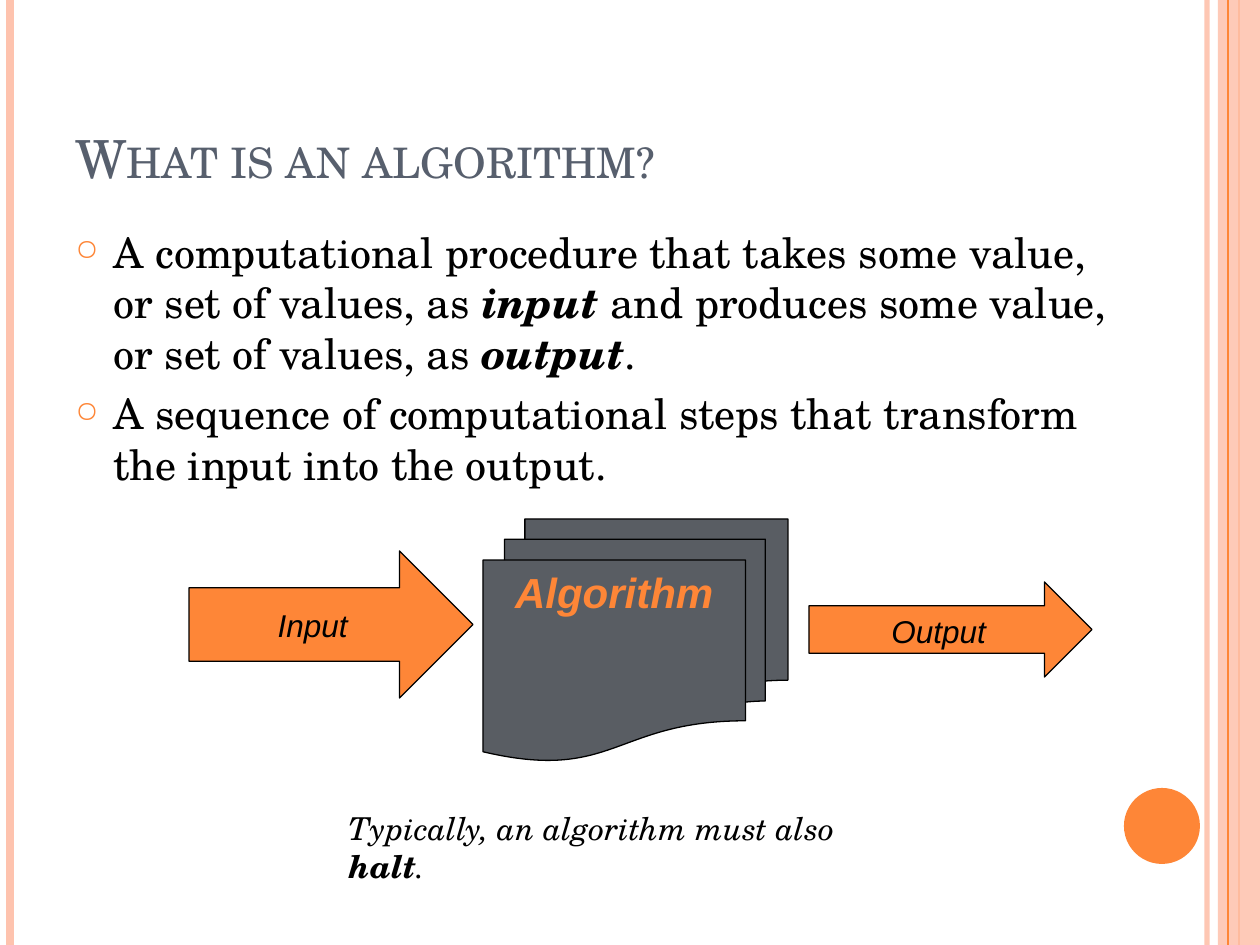
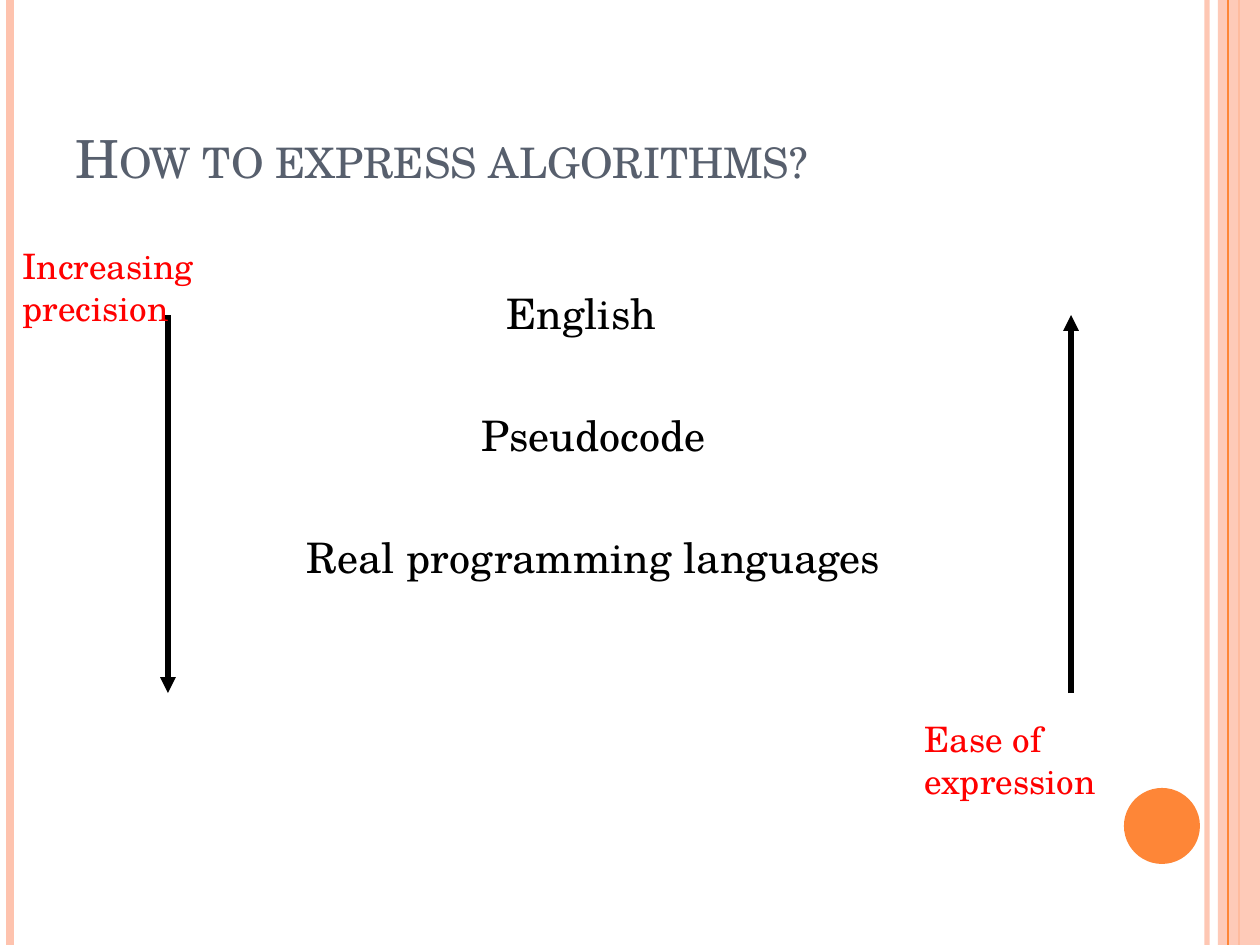
from dataclasses import dataclass

import lxml.etree
import pptx
import pptx.dml.color
import pptx.enum.shapes
import pptx.enum.text
import pptx.oxml.ns
import pptx.util

SHAPE = pptx.enum.shapes.MSO_SHAPE
ANCHOR = pptx.enum.text.MSO_ANCHOR
ALIGN = pptx.enum.text.PP_ALIGN

SLIDE_WIDTH, SLIDE_HEIGHT = 1260, 945
EMU_PER_PIXEL = 914400 / 126
SERIF, SANS = "TeX Gyre Schola", "Arial"
ORANGE, PEACH, SLATE, CHARCOAL = "FE8637", "FEC3AE", "575F6D", "595D63"
BLACK, RED = "000000", "FF0000"
HANGING = 38


@dataclass(frozen=True)
class Box:
    left: int
    top: int
    width: int
    height: int


@dataclass(frozen=True)
class TextStyle:
    size: int
    color: str = BLACK
    font: str = SERIF
    bold: bool = False
    italic: bool = False
    small_caps: bool = False


@dataclass(frozen=True)
class Span:
    text: str
    bold: bool = False
    italic: bool = False


@dataclass(frozen=True)
class Line:
    x: int
    color: str
    points: float
    start: int = 0
    end: int = SLIDE_HEIGHT
    opacity: int = 100
    arrow: bool = False


@dataclass(frozen=True)
class FlowPart:
    preset: int
    box: Box
    fill: str
    label: str
    style: TextStyle
    anchor: int = ANCHOR.TOP


@dataclass(frozen=True)
class Level:
    name: str
    right_margin: int = 0


TITLE_BOX = Box(63, 38, 1061, 157)
BODY_BOX = Box(63, 220, 1061, 672)
TITLE_STYLE = TextStyle(30, SLATE, small_caps=True)
BODY_STYLE = TextStyle(24)
FLOW_STYLE = TextStyle(18, font=SANS, italic=True)
ALGORITHM_STYLE = TextStyle(24, ORANGE, SANS, bold=True, italic=True)
CAPTION_STYLE = TextStyle(18, italic=True)
AXIS_STYLE = TextStyle(20, RED)

LINES_BELOW_BAND = [
    Line(1207, PEACH, 3, opacity=93),
    Line(10, PEACH, 4.5),
    Line(1239, ORANGE, 1.5),
]
LINE_ABOVE_BAND = Line(1228, ORANGE, 0.75)
BAND_BOX = Box(1218, 0, 42, SLIDE_HEIGHT)
DISC_BOX = Box(1124, 788, 76, 76)

DEFINITIONS = [
    [
        Span("A computational procedure that takes some value, or set of values, as "),
        Span("input", True, True),
        Span(" and produces some value, or set of values, as "),
        Span("output", True, True),
        Span("."),
    ],
    [Span("A sequence of computational steps that transform the input into the output.")],
]
FLOW = [
    FlowPart(SHAPE.RIGHT_ARROW, Box(189, 551, 284, 147), ORANGE, "Input", FLOW_STYLE, ANCHOR.MIDDLE),
    FlowPart(SHAPE.FLOWCHART_MULTIDOCUMENT, Box(483, 519, 305, 242), CHARCOAL, "Algorithm", ALGORITHM_STYLE),
    FlowPart(SHAPE.RIGHT_ARROW, Box(809, 582, 283, 95), ORANGE, "Output", FLOW_STYLE),
]
HALTING = [
    Span("Typically, an algorithm must also ", italic=True),
    Span("halt", True, True),
    Span(".", italic=True),
]
LEVELS = [Level("English", 24), Level("Pseudocode"), Level("Real programming languages")]
AXES = [
    (Line(168, BLACK, 3, 315, 693, arrow=True), Box(10, 238, 336, 54), "Increasing precision"),
    (Line(1071, BLACK, 3, 693, 315, arrow=True), Box(912, 711, 316, 54), "Ease of expression"),
]


def px(pixels: float) -> int:
    return round(pixels * EMU_PER_PIXEL)


def rgb(color: str) -> pptx.dml.color.RGBColor:
    return pptx.dml.color.RGBColor.from_string(color)


def place(box: Box) -> tuple[int, ...]:
    return px(box.left), px(box.top), px(box.width), px(box.height)


def add_xml(parent, tag: str, **attributes: str):
    child = lxml.etree.SubElement(parent, pptx.oxml.ns.qn(tag))
    for key, value in attributes.items():
        child.set(key, value)
    return child


def set_opacity(properties, percent: int) -> None:
    if percent < 100:
        color = next(properties.iter(pptx.oxml.ns.qn("a:srgbClr")))
        add_xml(color, "a:alpha", val=str(percent * 1000))


def draw_line(slide, line: Line) -> None:
    connector = slide.shapes.add_connector(
        pptx.enum.shapes.MSO_CONNECTOR.STRAIGHT,
        px(line.x), px(line.start), px(line.x), px(line.end),
    )
    connector.line.color.rgb = rgb(line.color)
    connector.line.width = pptx.util.Pt(line.points)
    properties = connector.element.spPr
    set_opacity(properties, line.opacity)
    if line.arrow:
        stroke = properties.find(pptx.oxml.ns.qn("a:ln"))
        add_xml(stroke, "a:tailEnd", type="triangle")
    add_xml(properties, "a:effectLst")


def draw_shape(slide, preset: int, box: Box, fill: str, outline: str = "", opacity: int = 100):
    shape = slide.shapes.add_shape(preset, *place(box))
    shape.shadow.inherit = False
    shape.fill.solid()
    shape.fill.fore_color.rgb = rgb(fill)
    set_opacity(shape.element.spPr, opacity)
    if outline:
        shape.line.color.rgb = rgb(outline)
        shape.line.width = pptx.util.Pt(0.75)
    else:
        shape.line.fill.background()
    return shape


def write_run(paragraph, span: Span, style: TextStyle) -> None:
    run = paragraph.add_run()
    run.text = span.text
    run.font.name = style.font
    run.font.size = pptx.util.Pt(style.size)
    run.font.color.rgb = rgb(style.color)
    run.font.bold = span.bold
    run.font.italic = span.italic
    if style.small_caps:
        run._r.get_or_add_rPr().set("cap", "small")


def write_label(paragraph, text: str, style: TextStyle) -> None:
    write_run(paragraph, Span(text, style.bold, style.italic), style)


def add_text_frame(slide, box: Box, anchor: int = ANCHOR.TOP):
    frame = slide.shapes.add_textbox(*place(box)).text_frame
    frame.word_wrap = True
    frame.vertical_anchor = anchor
    return frame


def body_paragraph(frame, index: int, space_before: float):
    paragraph = frame.add_paragraph() if index else frame.paragraphs[0]
    paragraph.space_before = pptx.util.Pt(space_before)
    properties = paragraph._p.get_or_add_pPr()
    properties.set("marL", str(px(HANGING)))
    properties.set("indent", str(-px(HANGING)))
    return paragraph, properties


def start_slide(deck, title: str):
    slide = deck.slides.add_slide(deck.slide_layouts[6])
    for line in LINES_BELOW_BAND:
        draw_line(slide, line)
    draw_shape(slide, SHAPE.RECTANGLE, BAND_BOX, PEACH, opacity=87)
    draw_line(slide, LINE_ABOVE_BAND)
    draw_shape(slide, SHAPE.OVAL, DISC_BOX, ORANGE)
    frame = add_text_frame(slide, TITLE_BOX, ANCHOR.BOTTOM)
    write_label(frame.paragraphs[0], title, TITLE_STYLE)
    return slide


def build_definition_slide(deck) -> None:
    slide = start_slide(deck, "What is an algorithm?")
    body = add_text_frame(slide, BODY_BOX)
    for index, spans in enumerate(DEFINITIONS):
        paragraph, properties = body_paragraph(body, index, 6)
        bullet_color = add_xml(properties, "a:buClr")
        add_xml(bullet_color, "a:srgbClr", val=ORANGE)
        add_xml(properties, "a:buSzPct", val="70000")
        add_xml(properties, "a:buChar", char="○")
        for span in spans:
            write_run(paragraph, span, BODY_STYLE)
    for part in FLOW:
        shape = draw_shape(slide, part.preset, part.box, part.fill, BLACK)
        shape.text_frame.vertical_anchor = part.anchor
        paragraph = shape.text_frame.paragraphs[0]
        paragraph.alignment = ALIGN.CENTER
        write_label(paragraph, part.label, part.style)
    caption = add_text_frame(slide, Box(336, 803, 552, 50))
    for span in HALTING:
        write_run(caption.paragraphs[0], span, CAPTION_STYLE)


def build_expression_slide(deck) -> None:
    slide = start_slide(deck, "How to express algorithms?")
    body = add_text_frame(slide, BODY_BOX)
    body.margin_top = px(67)
    for index, level in enumerate(LEVELS):
        paragraph, properties = body_paragraph(body, index, 41 if index else 0)
        paragraph.alignment = ALIGN.CENTER
        properties.set("marR", str(px(level.right_margin)))
        add_xml(properties, "a:buNone")
        write_label(paragraph, level.name, BODY_STYLE)
    for arrow, box, label in AXES:
        draw_line(slide, arrow)
        write_label(add_text_frame(slide, box).paragraphs[0], label, AXIS_STYLE)


def main() -> None:
    deck = pptx.Presentation()
    deck.slide_width = px(SLIDE_WIDTH)
    deck.slide_height = px(SLIDE_HEIGHT)
    build_definition_slide(deck)
    build_expression_slide(deck)
    deck.save("out.pptx")


main()
